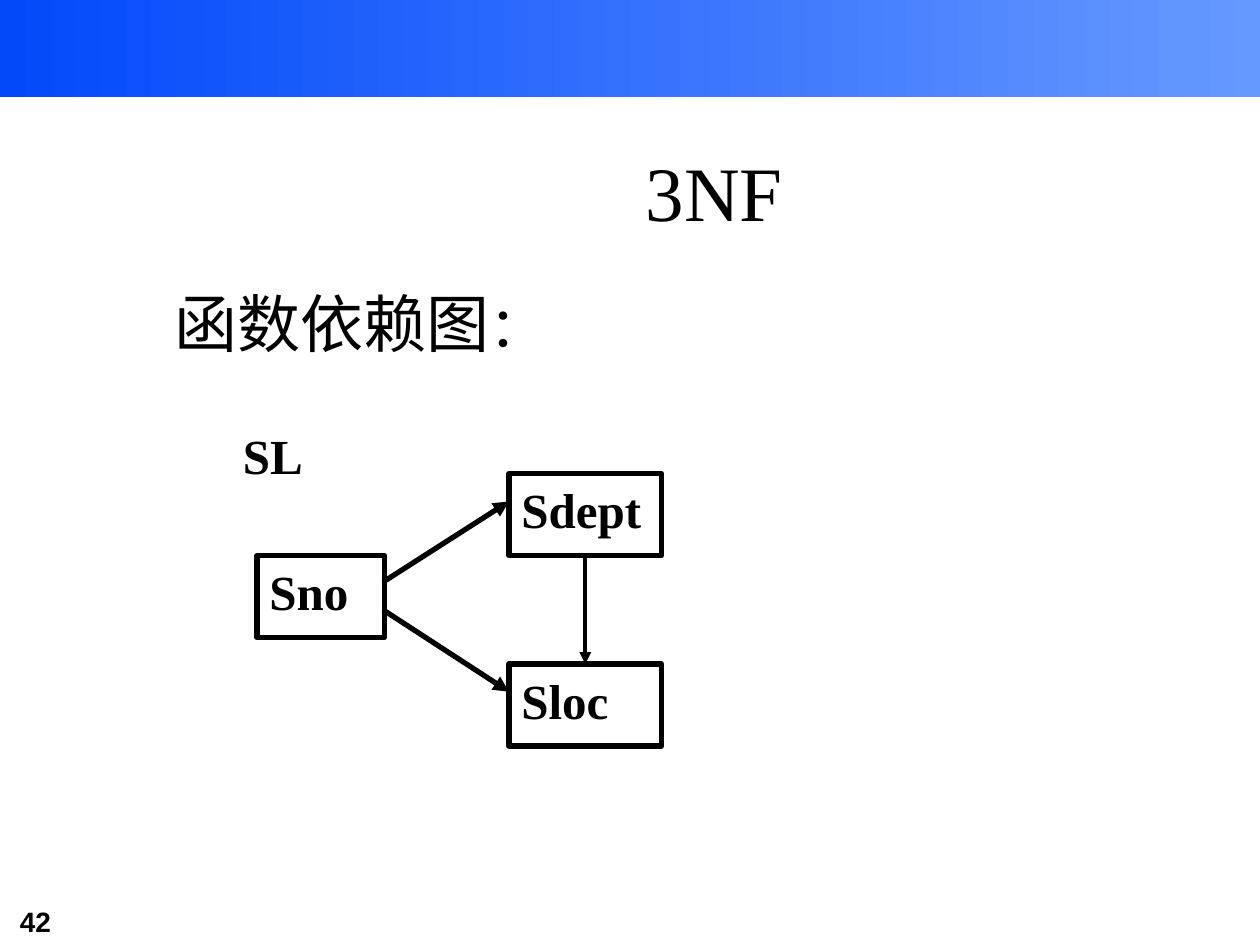
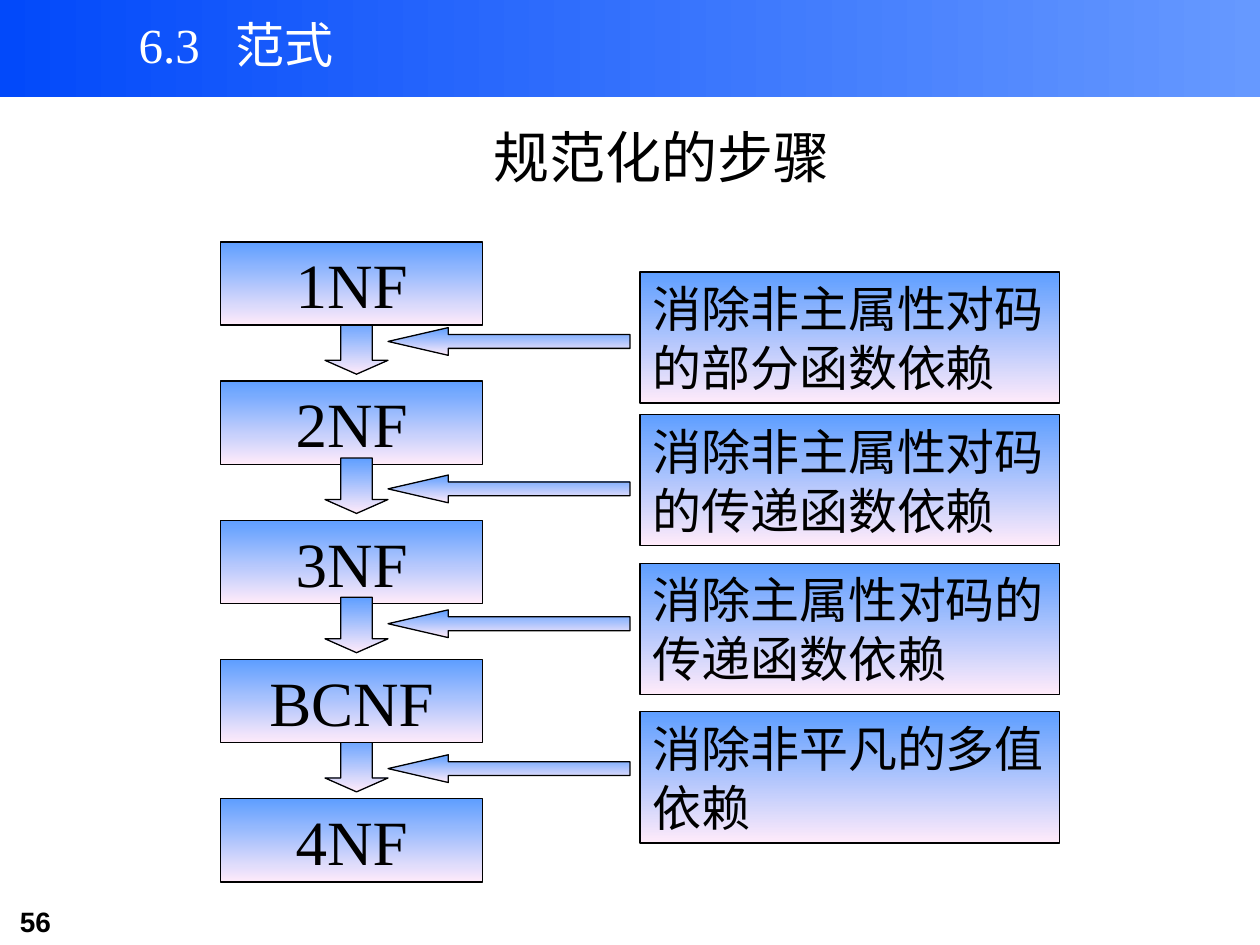
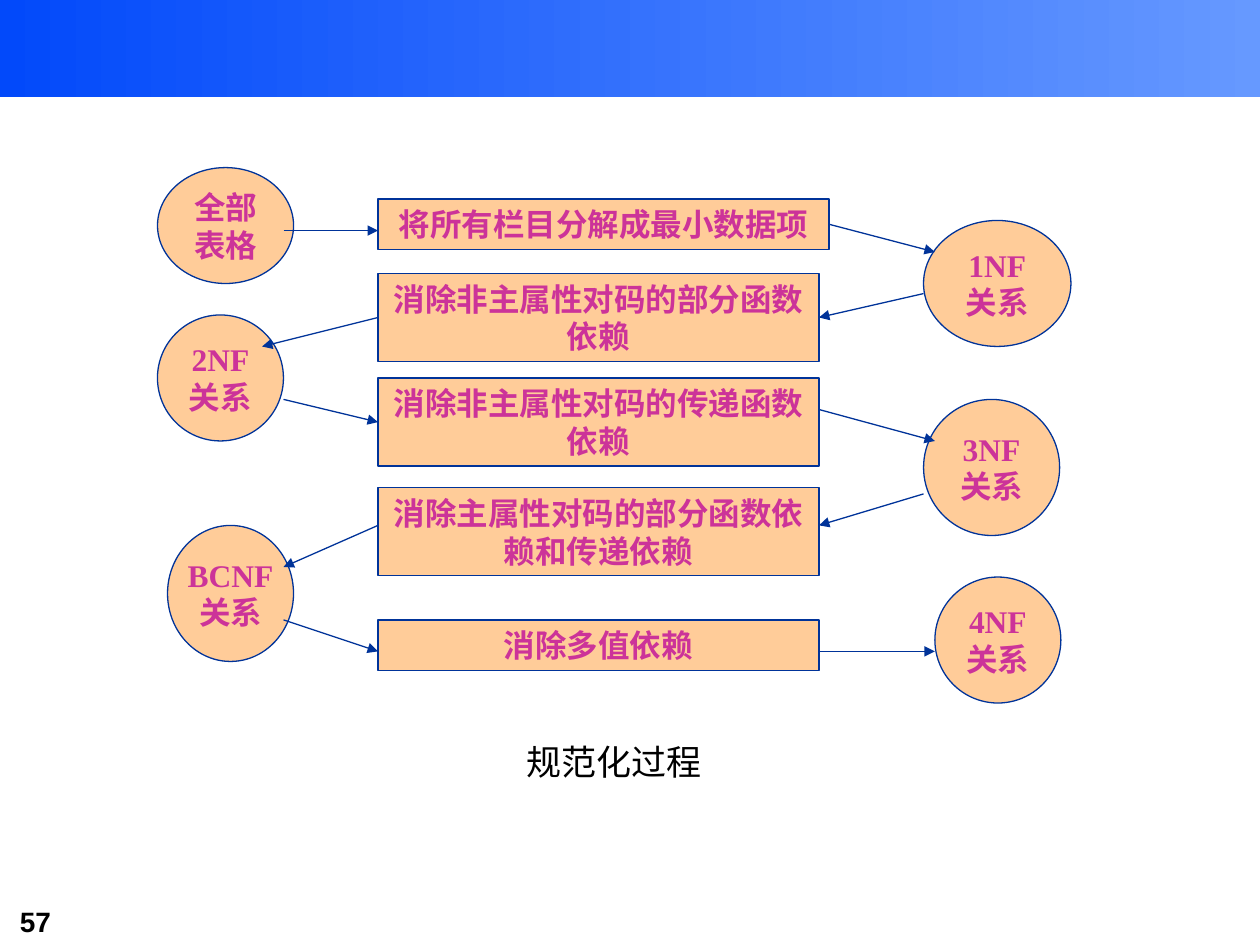
import pptx
import pptx.dml.color
import pptx.enum.dml
import pptx.enum.shapes
import pptx.enum.text
import pptx.oxml
import pptx.oxml.ns
import pptx.util
from pptx.util import Inches

SHAPE = pptx.enum.shapes.MSO_SHAPE
ALIGN = pptx.enum.text.PP_ALIGN
ANCHOR = pptx.enum.text.MSO_ANCHOR
NAMESPACE = pptx.oxml.ns.nsdecls("a")

BLACK, WHITE = "000000", "FFFFFF"
BAND_COLOURS = ("0249FA", "6699FF")
STEP_COLOURS = ("5E9EFF", "FFEBFA")
PEACH, NAVY, MAGENTA = "FFCC99", "003399", "CC3399"

SERIF = {"name": "Times New Roman", "size": 28, "bold": False, "color": BLACK}
PAGE_NUMBER = {**SERIF, "name": "Arial", "size": 16, "bold": True}
NODE_LABEL = {**SERIF, "bold": True}
PROCESS_LABEL = {**SERIF, "size": 18, "bold": True, "color": MAGENTA}

LEFT_SIDE, RIGHT_SIDE, TOP_SIDE, BOTTOM_SIDE = 1, 3, 0, 2


def rgb(colour):
    return pptx.dml.color.RGBColor.from_string(colour)


def format_run(run, values):
    for attribute, value in values.items():
        if attribute == "color":
            run.font.color.rgb = rgb(value)
        else:
            setattr(run.font, attribute, pptx.util.Pt(value) if attribute == "size" else value)


def write(shape, lines, values, align=ALIGN.LEFT, anchor=ANCHOR.TOP, wrap=True):
    """Write one paragraph per line into the shape."""
    frame = shape.text_frame
    settings = {"auto_size": pptx.enum.text.MSO_AUTO_SIZE.NONE, "word_wrap": wrap,
                "vertical_anchor": anchor}
    for attribute, value in settings.items():
        setattr(frame, attribute, value)
    for index, line in enumerate(lines):
        paragraph = frame.paragraphs[0] if index == 0 else frame.add_paragraph()
        paragraph.alignment = align
        run = paragraph.add_run()
        run.text = line
        format_run(run, values)
    return frame


def place(origin, left, top, *size):
    """Lengths of a part whose left and top count from the origin."""
    return [Inches(value) for value in (origin[0] + left, origin[1] + top, *size)]


def add_text(slide, box, *args, **options):
    return write(slide.shapes.add_textbox(*map(Inches, box)), *args, **options)


def add_shape(slide, preset, position, fill=None, line=None, line_width=0.75, angle=270):
    """Add a shape filled with a colour, a pair of gradient colours or nothing."""
    shape = slide.shapes.add_shape(preset, *position)
    shape.shadow.inherit = False
    if fill is None:
        shape.fill.background()
    elif isinstance(fill, str):
        shape.fill.solid()
        shape.fill.fore_color.rgb = rgb(fill)
    else:
        shape.fill.gradient()
        shape.fill.gradient_angle = angle
        for stop, colour in zip(shape.fill.gradient_stops, fill):
            stop.color.rgb = rgb(colour)
    if line is None:
        shape.line.fill.background()
    else:
        shape.line.color.rgb = rgb(line)
        shape.line.width = pptx.util.Pt(line_width)
    return shape


def add_arrow(slide, start, end, colour, width, joined_start=None, joined_end=None):
    """Draw an arrow; a joined end is a pair of shape and connection site."""
    arrow = slide.shapes.add_connector(pptx.enum.shapes.MSO_CONNECTOR.STRAIGHT, *start, *end)
    if joined_start:
        arrow.begin_connect(*joined_start)
    if joined_end:
        arrow.end_connect(*joined_end)
    arrow.line.color.rgb = rgb(colour)
    arrow.line.width = pptx.util.Pt(width)
    arrow.line._get_or_add_ln().append(
        pptx.oxml.parse_xml(f'<a:tailEnd {NAMESPACE} type="triangle"/>'))
    arrow._element.spPr.append(pptx.oxml.parse_xml(f"<a:effectLst {NAMESPACE}/>"))


def new_slide(deck, page, titled):
    """Add a slide with the top band and its page number."""
    slide = deck.slides.add_slide(deck.slide_layouts[5 if titled else 6])
    band = add_shape(slide, SHAPE.RECTANGLE, place((0, 0), 0, 0, 10, 0.77), BAND_COLOURS, angle=0)
    slide.shapes._spTree.insert(2, band._element)
    add_text(slide, (0.06, 7.13, 1.22, 0.37), [page], PAGE_NUMBER)
    return slide


def set_title(slide, box, text, values, **options):
    title = slide.shapes.title
    for attribute, length in zip(("left", "top", "width", "height"), box):
        setattr(title, attribute, Inches(length))
    return write(title, [text], values, **options)


def draw_dependencies(slide, origin):
    add_text(slide, (*origin, 1.21, 0.65), ["SL"], NODE_LABEL)
    nodes = {}
    for name, left, top, width in (("Sno", 0.21, 1.08, 1.01), ("Sdept", 2.21, 0.43, 1.21),
                                   ("Sloc", 2.21, 1.94, 1.21)):
        nodes[name] = add_shape(slide, SHAPE.RECTANGLE, place(origin, left, top, width, 0.65),
                                line=BLACK, line_width=3)
        write(nodes[name], [name], NODE_LABEL)
    for start_top, end_top in ((1.29, 0.65), (1.51, 2.16)):
        add_arrow(slide, place(origin, 1.21, start_top), place(origin, 2.21, end_top), BLACK, 3)
    add_arrow(slide, place(origin, 2.82, 1.08), place(origin, 2.82, 1.94), BLACK, 2.25,
              (nodes["Sdept"], BOTTOM_SIDE), (nodes["Sloc"], TOP_SIDE))


def draw_normal_forms(slide, origin, height):
    """Stack the normal forms over the height, with the step between each two."""
    forms = ("1NF", "2NF", "3NF", "BCNF", "4NF")
    form_height = 0.66
    pitch = (height - form_height) / (len(forms) - 1)

    def add_part(preset, *box):
        return add_shape(slide, preset, place(origin, *box), STEP_COLOURS, BLACK)

    def add_down_arrows(rows):
        for row in rows:
            add_part(SHAPE.DOWN_ARROW, 0.83, 0.61 + row * pitch, 0.5, 0.44).adjustments[1] = 0.25

    add_down_arrows((0, 3))
    for row, form in enumerate(forms):
        write(add_part(SHAPE.RECTANGLE, 0, row * pitch, 2.08, form_height), [form],
              {**SERIF, "size": 36}, align=ALIGN.CENTER, anchor=ANCHOR.MIDDLE, wrap=False)
    add_down_arrows((1, 2))

    steps = (("消除非主属性对码的部分函数依赖", 0.24, 0.68),
             ("消除非主属性对码的传递函数依赖", 1.37, 1.85),
             ("消除主属性对码的传递函数依赖", 2.55, 2.92),
             ("消除非平凡的多值依赖", 3.73, 4.07))
    for step, step_top, pointer_top in steps:
        write(add_part(SHAPE.RECTANGLE, 3.33, step_top, 3.33, 1.04), [step], SERIF,
              anchor=ANCHOR.MIDDLE)
        add_part(SHAPE.LEFT_ARROW, 1.33, pointer_top, 1.92, 0.22).adjustments[1] = 2.17


def draw_process(slide, origin):
    relations = (("全部", "表格", 0, 0, 1.08, 0.92), ("1NF", "关系", 6.08, 0.42, 1.17, 1),
                 ("2NF", "关系", 0, 1.17, 1, 1), ("3NF", "关系", 6.08, 1.84, 1.08, 1.08),
                 ("BCNF", "关系", 0.08, 2.84, 1, 1.08), ("4NF", "关系", 6.17, 3.25, 1, 1))
    for form, kind, *box in relations:
        relation = add_shape(slide, SHAPE.OVAL, place(origin, *box), PEACH, NAVY)
        write(relation, [form, kind], PROCESS_LABEL, align=ALIGN.CENTER,
              anchor=ANCHOR.MIDDLE, wrap=False)

    steps = []
    for text, top, width, height in (("将所有栏目分解成最小数据项", 0.25, 3.58, 0.4),
                                     ("消除非主属性对码的部分函数依赖", 0.84, 3.5, 0.7),
                                     ("消除非主属性对码的传递函数依赖", 1.67, 3.5, 0.7),
                                     ("消除主属性对码的部分函数依赖和传递依赖", 2.54, 3.5, 0.7),
                                     ("消除多值依赖", 3.59, 3.5, 0.4)):
        step = add_shape(slide, SHAPE.RECTANGLE, place(origin, 1.75, top, width, height),
                         PEACH, NAVY)
        write(step, [text], PROCESS_LABEL, align=ALIGN.CENTER)
        steps.append(step)

    flows = (((1, 0.5), (1.75, 0.5)),
             ((5.33, 0.42), (6.17, 0.67), (steps[0], RIGHT_SIDE)),
             ((6.08, 1), (5.25, 1.17), None, (steps[1], RIGHT_SIDE)),
             ((1.75, 1.17), (0.83, 1.42), (steps[1], LEFT_SIDE)),
             ((1, 1.84), (1.75, 2), None, (steps[2], LEFT_SIDE)),
             ((5.25, 1.92), (6.17, 2.17)),
             ((6.08, 2.59), (5.25, 2.84)),
             ((1.75, 2.84), (1, 3.17)),
             ((1, 3.59), (1.75, 3.84)),
             ((5.25, 3.84), (6.17, 3.84)))
    for start, end, *joints in flows:
        add_arrow(slide, place(origin, *start), place(origin, *end), NAVY, 0.75, *joints)


def build_dependency_slide(deck):
    slide = new_slide(deck, "42", titled=True)
    title = set_title(slide, (1.26, 0.68, 8.52, 1.25), "3NF", {**SERIF, "size": 44},
                      align=ALIGN.CENTER, anchor=ANCHOR.BOTTOM)
    title.margin_left = Inches(0.4)
    lead = add_text(slide, (1.29, 2.21, 8.5, 4.5), ["函数依赖图"], {**SERIF, "size": 36})
    colon = lead.paragraphs[0].add_run()
    colon.text = "："
    format_run(colon, {**SERIF, "size": 32})
    draw_dependencies(slide, (1.83, 3.33))


def build_steps_slide(deck):
    slide = new_slide(deck, "56", titled=True)
    title = set_title(slide, (1, 0.1, 5.58, 0.58), "6.3\t范式", {**SERIF, "color": WHITE},
                      anchor=ANCHOR.MIDDLE)
    section = title.paragraphs[0]
    section.line_spacing = 0.8
    section._p.get_or_add_pPr().append(pptx.oxml.parse_xml(
        f'<a:tabLst {NAMESPACE}><a:tab pos="{Inches(0.77)}" algn="l"/></a:tabLst>'))
    draw_normal_forms(slide, (1.75, 1.92), 5.08)
    add_text(slide, (1, 0.92, 8.5, 0.64), ["规范化的步骤"], {**SERIF, "size": 32},
             align=ALIGN.CENTER, anchor=ANCHOR.MIDDLE)


def build_process_slide(deck):
    slide = new_slide(deck, "57", titled=False)
    draw_process(slide, (1.25, 1.33))
    add_text(slide, (3.5, 5.83, 2.75, 0.44), ["规范化过程"], {**SERIF, "size": 20},
             align=ALIGN.CENTER)


def main():
    deck = pptx.Presentation()
    deck.slide_width, deck.slide_height = Inches(10), Inches(7.5)
    build_dependency_slide(deck)
    build_steps_slide(deck)
    build_process_slide(deck)
    deck.save("out.pptx")


if __name__ == "__main__":
    main()
